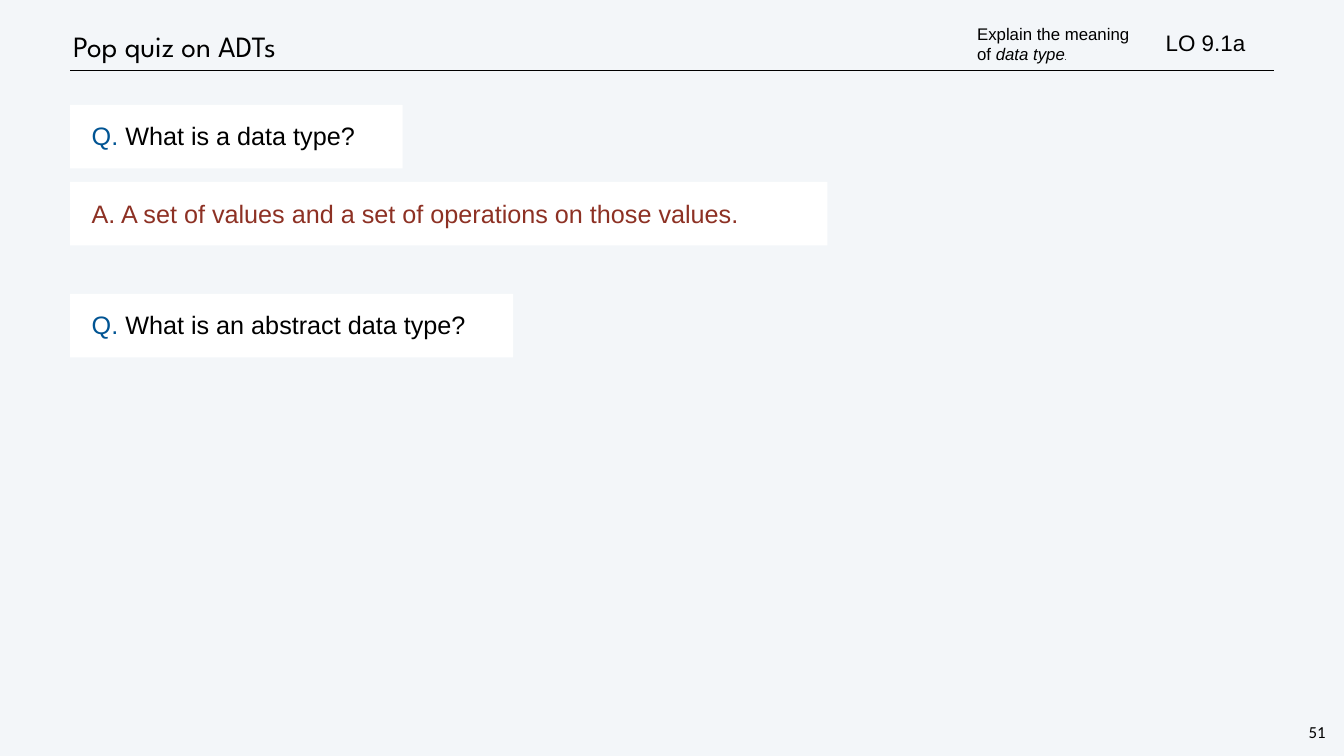
from lxml.etree import SubElement
from pptx import Presentation
from pptx.dml.color import RGBColor
from pptx.enum.shapes import MSO_CONNECTOR, MSO_SHAPE
from pptx.enum.text import MSO_ANCHOR, MSO_AUTO_SIZE, PP_ALIGN
from pptx.oxml.ns import qn
from pptx.util import Inches, Pt

BLACK, WHITE, BACKGROUND = "000000", "FFFFFF", "F3F6F9"
BLUE, RED = "005493", "8D3124"
LEFT = 1.39
CARD_HEIGHT = 1.26


def color(value):
    return RGBColor.from_string(value)


class QuizSlide:
    """Holds the slide and the style shared by its elements."""

    font = "Arial"

    def __init__(self, presentation):
        self.slide = presentation.slides.add_slide(presentation.slide_layouts[6])
        fill = self.slide.background.fill
        fill.solid()
        fill.fore_color.rgb = color(BACKGROUND)

    def add_runs(self, shape, runs, size, inset, font=None, anchor=MSO_ANCHOR.MIDDLE,
                 align=PP_ALIGN.LEFT, spacing=None, before=0, wrap=True, grow=True):
        """Fill a shape with runs of (text, overrides)."""
        frame = shape.text_frame
        frame.word_wrap = wrap
        frame.auto_size = (MSO_AUTO_SIZE.SHAPE_TO_FIT_TEXT if grow
                           else MSO_AUTO_SIZE.NONE)
        frame.vertical_anchor = anchor
        frame.margin_left = frame.margin_right = Inches(inset)
        frame.margin_top = frame.margin_bottom = Inches(inset)
        paragraph = frame.paragraphs[0]
        paragraph.alignment = align
        paragraph.space_before = Pt(before)
        if spacing:
            paragraph.line_spacing = Pt(spacing)
        for words, style in runs:
            run = paragraph.add_run()
            run.text = words
            run.font.name = font or self.font
            run.font.size = Pt(style.get("size", size))
            run.font.italic = style.get("italic", False)
            run.font.color.rgb = color(style.get("color", BLACK))
        return paragraph

    def text(self, left, top, width, height, runs, size, inset=0.06, **layout):
        box = self.slide.shapes.add_textbox(
            Inches(left), Inches(top), Inches(width), Inches(height))
        self.add_runs(box, runs, size, inset, **layout)

    def card(self, top, width, runs):
        card = self.slide.shapes.add_shape(
            MSO_SHAPE.RECTANGLE, Inches(LEFT), Inches(top),
            Inches(width), Inches(CARD_HEIGHT))
        card.shadow.inherit = False
        card.fill.solid()
        card.fill.fore_color.rgb = color(WHITE)
        card.line.fill.background()
        paragraph = self.add_runs(card, runs, 36, 0.33, anchor=MSO_ANCHOR.TOP,
                                  spacing=44, before=17)
        paragraph._p.get_or_add_pPr().set("indent", str(Inches(0.1)))

    def question(self, top, width, words):
        self.card(top, width, [("Q. ", {"color": BLUE}), (words, {})])

    def answer(self, top, width, words):
        self.card(top, width, [("A. " + words, {"color": RED})])

    def rule(self, left, right, y):
        rule = self.slide.shapes.add_connector(
            MSO_CONNECTOR.STRAIGHT, Inches(left), Inches(y), Inches(right), Inches(y))
        rule.line.color.rgb = color(BLACK)
        rule.line.width = Pt(1)
        SubElement(rule._element.spPr, qn("a:effectLst"))


def main():
    presentation = Presentation()
    presentation.slide_width = Inches(26.67)
    presentation.slide_height = Inches(15)
    quiz = QuizSlide(presentation)

    # Header rule, page number and title
    quiz.rule(LEFT, 25.28, 1.4)
    quiz.text(25.92, 14.29, 0.43, 0.47, [("51", {})], 24, inset=0.04,
              font="Calibri", anchor=MSO_ANCHOR.TOP, align=PP_ALIGN.CENTER,
              spacing=28, wrap=False)
    quiz.text(LEFT, 0.42, 22.62, 0.99, [("Pop quiz on ADTs", {})], 42,
              font="League Spartan", spacing=50, before=3, grow=False)

    # Questions and answer
    quiz.question(5.83, 8.79, "What is an abstract data type?")
    quiz.question(2.08, 6.6, "What is a data type?")
    quiz.answer(3.61, 15.03, "A set of values and a set of operations on those values.")

    # Learning objective
    quiz.text(23.07, 0.51, 2.99, 0.65, [("LO 9.1a", {})], 32)
    quiz.text(19.33, 0.41, 3.4, 0.92, [
        ("Explain the meaning of ", {}),
        ("data type", {"italic": True}),
        (".", {"italic": True, "size": 12}),
    ], 24)

    presentation.save("out.pptx")


if __name__ == "__main__":
    main()
